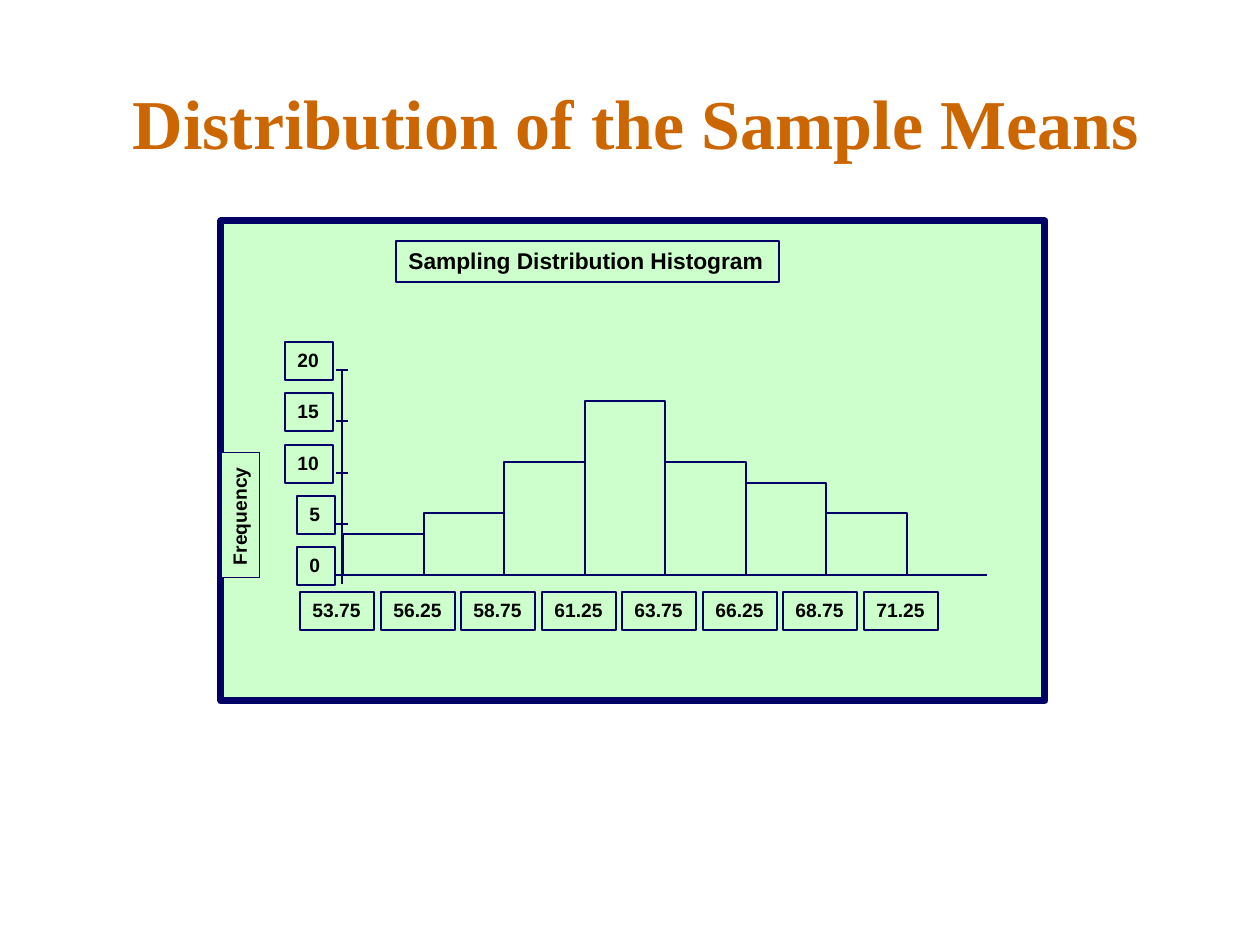
"""Build a slide with a histogram of the distribution of sample means."""
from dataclasses import dataclass

from pptx import Presentation
from pptx.dml.color import RGBColor
from pptx.enum.shapes import MSO_CONNECTOR as CONNECTOR, MSO_SHAPE as SHAPE
from pptx.enum.text import MSO_ANCHOR as ANCHOR, MSO_AUTO_SIZE as AUTO_SIZE, PP_ALIGN as ALIGN
from pptx.oxml.ns import qn
from pptx.util import Emu, Pt


@dataclass(frozen=True)
class Theme:
    heading: RGBColor = RGBColor(0xCC, 0x66, 0x00)
    panel: RGBColor = RGBColor(0xCC, 0xFF, 0xCC)
    outline: RGBColor = RGBColor(0x00, 0x00, 0x66)
    ink: RGBColor = RGBColor(0x00, 0x00, 0x00)
    heading_font: str = "Times New Roman"
    label_font: str = "Arial"
    heading_size: int = 40
    caption_size: int = 13
    label_size: int = 11


theme = Theme()
PX = 914400 / 126


def write(shape, text, size=theme.label_size, font=theme.label_font, color=theme.ink,
          align=ALIGN.LEFT, anchor=ANCHOR.TOP, wrap=False, fit=AUTO_SIZE.SHAPE_TO_FIT_TEXT):
    frame = shape.text_frame
    frame.word_wrap = wrap
    frame.auto_size = fit
    frame.vertical_anchor = anchor
    paragraph = frame.paragraphs[0]
    paragraph.alignment = align
    run = paragraph.add_run()
    run.text = text
    run.font.name = font
    run.font.size = Pt(size)
    run.font.bold = True
    run.font.color.rgb = color


def add_block(left, top, width, height, weight=1):
    lengths = [Emu(round(length * PX)) for length in (left, top, width, height)]
    block = histogram.shapes.add_shape(SHAPE.RECTANGLE, *lengths)
    block.shadow.inherit = False
    block.fill.solid()
    block.fill.fore_color.rgb = theme.panel
    block.line.color.rgb = theme.outline
    block.line.width = Pt(weight)
    return block


deck = Presentation()
deck.slide_width, deck.slide_height = Emu(round(1260 * PX)), Emu(round(945 * PX))
slide = deck.slides.add_slide(deck.slide_layouts[5])

heading = slide.shapes.title
heading.left, heading.top, heading.width, heading.height = [
    Emu(round(length * PX)) for length in (53, 42, 1166, 158)]
write(heading, "Distribution of the Sample Means", size=theme.heading_size,
      font=theme.heading_font, color=theme.heading, align=ALIGN.CENTER,
      anchor=ANCHOR.MIDDLE, wrap=True, fit=AUTO_SIZE.NONE)

histogram = slide.shapes.add_group_shape()
add_block(221, 221, 824, 480, weight=4)

frequencies = [4, 6, 11, 17, 11, 9, 6]
midpoints = ["53.75", "56.25", "58.75", "61.25", "63.75", "66.25", "68.75", "71.25"]
scale_marks = [0, 5, 10, 15, 20]
origin, baseline, axis = 343, 575, 342
unit = 205 / 20
edges = [origin + round(564 * i / 7) for i in range(len(midpoints))]
levels = [baseline - round(mark * unit) for mark in scale_marks]

for left, right, frequency in zip(edges, edges[1:], frequencies):
    rise = round(frequency * unit)
    add_block(left, baseline - rise, right - left, rise)

rules = [(axis, levels[-1], axis, baseline + 9), (origin, baseline, 987, baseline)]
rules += [(axis - 6, level, axis + 6, level) for level in levels]
for ends in rules:
    rule = histogram.shapes.add_connector(
        CONNECTOR.STRAIGHT, *[Emu(round(length * PX)) for length in ends])
    rule.line.color.rgb = theme.outline
    rule.line.width = Pt(1)
    properties = rule.element.spPr
    properties.append(properties.makeelement(qn("a:effectLst"), {}))

write(add_block(396, 241, 383, 41), "Sampling Distribution Histogram", size=theme.caption_size)

for mark, level in zip(scale_marks, levels):
    left, width = (297, 38) if mark < 10 else (285, 48)
    write(add_block(left, level - 28, width, 38), str(mark))

for edge, midpoint in zip(edges, midpoints):
    write(add_block(edge - 43, 592, 74, 38), midpoint)

frequency_label = add_block(178, 496, 125, 38)
frequency_label.rotation = 270
write(frequency_label, "Frequency")

deck.save("out.pptx")
